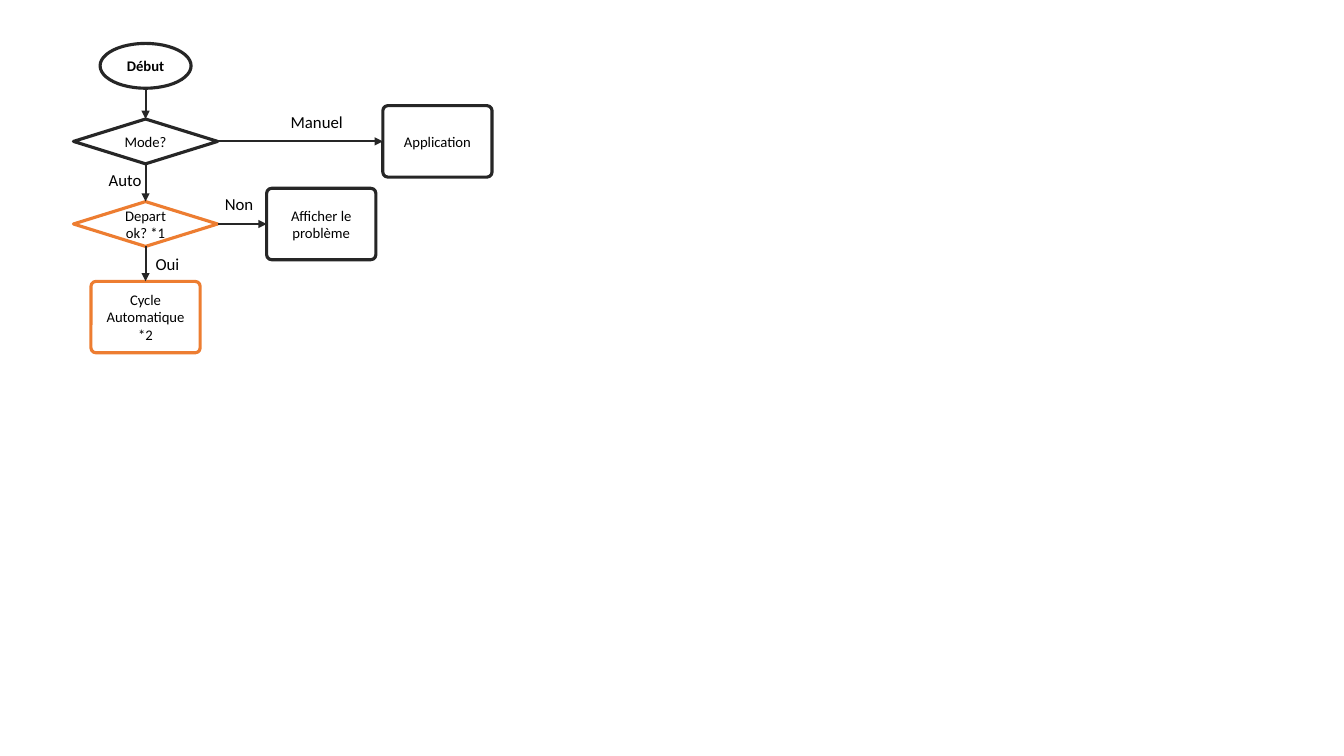
from pptx import Presentation
from pptx.dml.color import RGBColor
from pptx.enum.shapes import MSO_CONNECTOR, MSO_SHAPE
from pptx.enum.text import MSO_ANCHOR, PP_ALIGN
from pptx.oxml.ns import qn
from pptx.util import Pt
from lxml.etree import SubElement

DARK = RGBColor(0x26, 0x26, 0x26)
ORANGE = RGBColor(0xED, 0x7D, 0x31)
BLACK = RGBColor(0, 0, 0)

OVAL = (MSO_SHAPE.OVAL, 65, 32)
TEST = (MSO_SHAPE.DIAMOND, 103, 32)
STEP = (MSO_SHAPE.ROUNDED_RECTANGLE, 78, 51)
TOP, LEFT, BOTTOM, RIGHT = range(4)


def write(frame, text, size, bold=False):
    frame.word_wrap = True
    frame.text = text
    font = frame.paragraphs[0].font
    font.name = "Calibri"
    font.size = Pt(size)
    font.bold = bold
    font.color.rgb = BLACK


def add_node(slide, kind, x, y, text, color=DARK, bold=False):
    form, width, height = kind
    node = slide.shapes.add_shape(form, Pt(x - width / 2), Pt(y - height / 2),
                                  Pt(width), Pt(height))
    if kind == STEP:
        node.adjustments[0] = 0.07
    node.shadow.inherit = False
    node.fill.background()
    node.line.color.rgb = color
    node.line.width = Pt(2.25)
    write(node.text_frame, text, 10.5, bold)
    node.text_frame.vertical_anchor = MSO_ANCHOR.MIDDLE
    node.text_frame.paragraphs[0].alignment = PP_ALIGN.CENTER
    return node


def add_arrow(slide, start, end, out, into):
    x = start.left + start.width // 2
    y = start.top + start.height
    arrow = slide.shapes.add_connector(MSO_CONNECTOR.STRAIGHT, x, y, x, end.top)
    if start.auto_shape_type != MSO_SHAPE.OVAL:
        arrow.begin_connect(start, out)
    arrow.end_connect(end, into)
    arrow.line.color.rgb = DARK
    arrow.line.width = Pt(1.5)
    SubElement(arrow.line._get_or_add_ln(), qn("a:tailEnd"), type="triangle")
    SubElement(arrow._element.spPr, qn("a:effectLst"))


def add_label(slide, x, y, width, text):
    label = slide.shapes.add_textbox(Pt(x), Pt(y), Pt(width), Pt(21.8))
    write(label.text_frame, text, 12)


def add_flow(slide, left, top):
    axis = left + 51.5
    mode_y, check_y = top + 70, top + 129

    start = add_node(slide, OVAL, axis, top + 16, "Début", bold=True)
    mode = add_node(slide, TEST, axis, mode_y, "Mode?")
    check = add_node(slide, TEST, axis, check_y, "Depart ok? *1", ORANGE)
    cycle = add_node(slide, STEP, axis, top + 195.5, "Cycle Automatique *2", ORANGE)
    manual = add_node(slide, STEP, axis + 208.5, mode_y, "Application")
    alert = add_node(slide, STEP, axis + 125.5, check_y, "Afficher le problème")

    for above, below in ((start, mode), (mode, check), (check, cycle)):
        add_arrow(slide, above, below, BOTTOM, TOP)
    for test, step in ((mode, manual), (check, alert)):
        add_arrow(slide, test, step, RIGHT, LEFT)

    add_label(slide, left + 18, top + 87, 39.6, "Auto")
    add_label(slide, left + 148, top + 45.3, 57.6, "Manuel")
    add_label(slide, left + 51.5, top + 147, 39.6, "Oui")
    add_label(slide, left + 101, top + 103.7, 39.6, "Non")


def main():
    deck = Presentation()
    deck.slide_width, deck.slide_height = Pt(960), Pt(540)
    slide = deck.slides.add_slide(deck.slide_layouts[6])
    add_flow(slide, 52.5, 31)
    deck.save("out.pptx")


if __name__ == "__main__":
    main()
